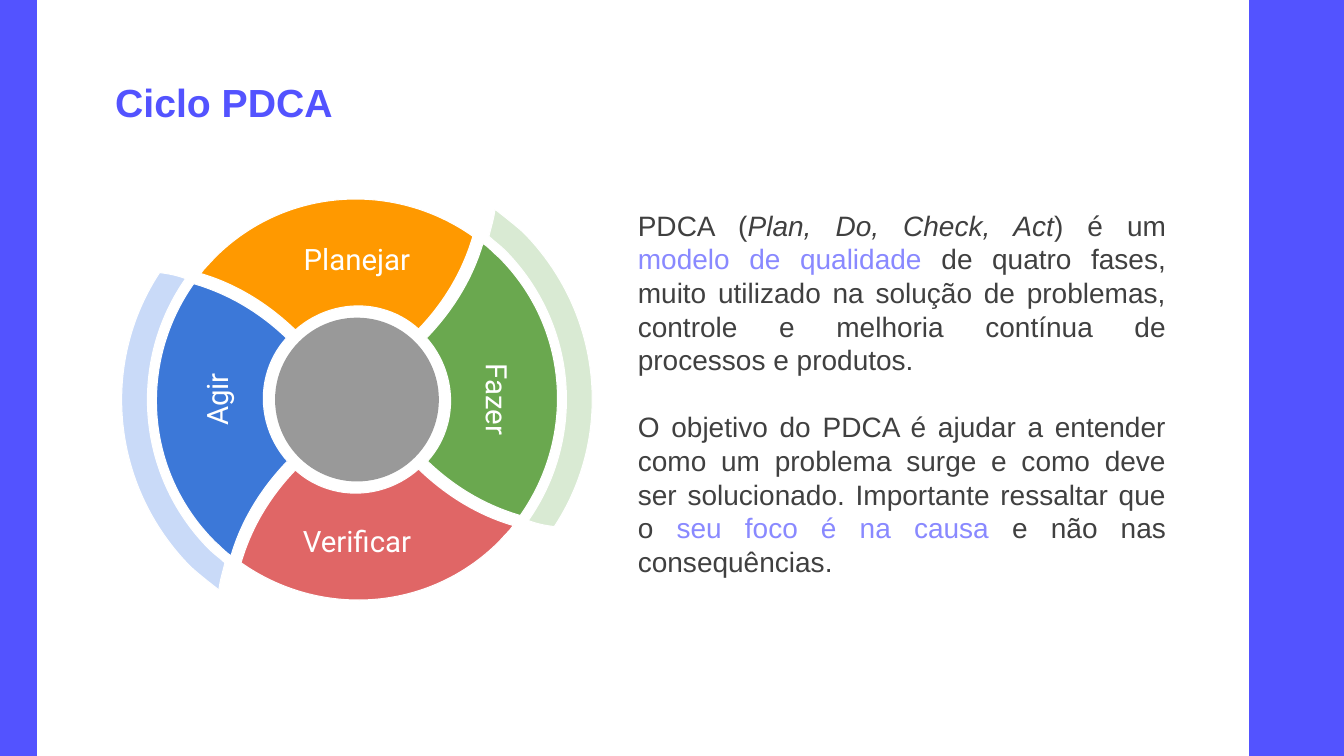
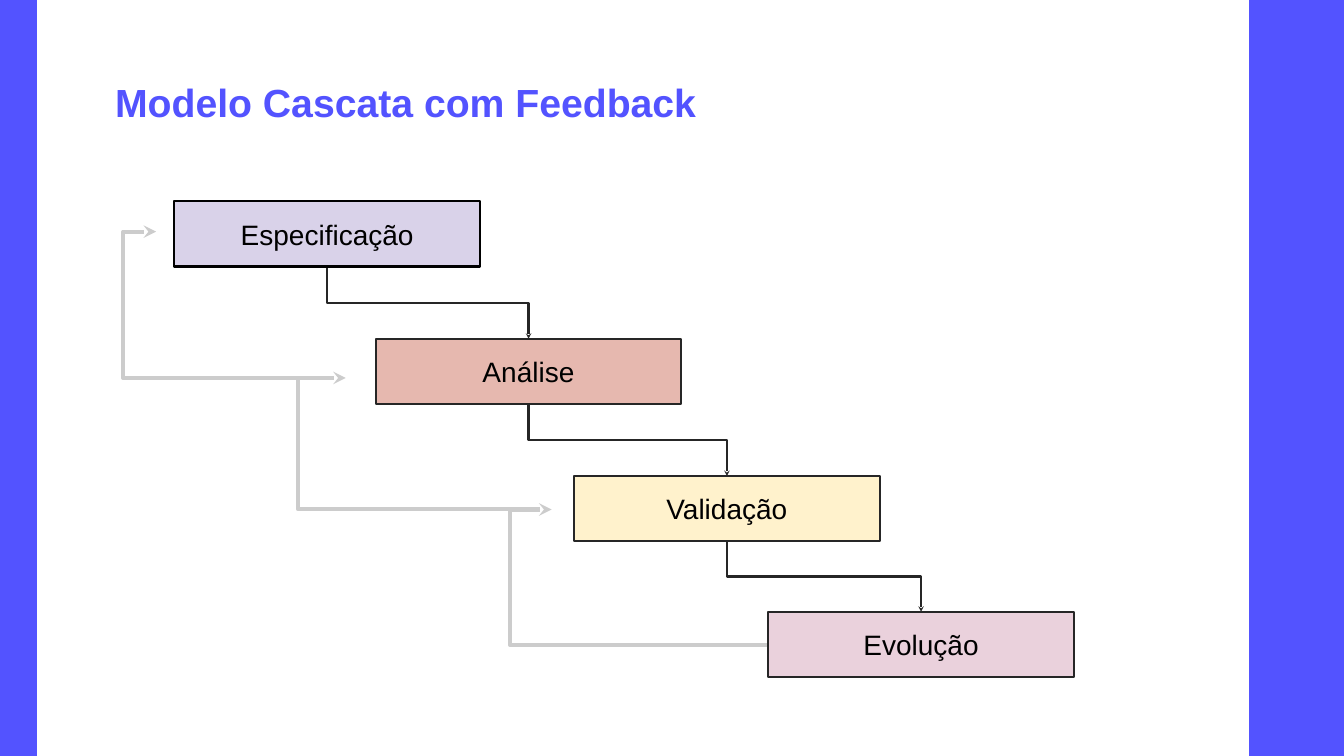
from math import sqrt

from pptx import Presentation
from pptx.dml.color import RGBColor
from pptx.enum.shapes import MSO_CONNECTOR as Link, MSO_SHAPE as Shape
from pptx.enum.text import MSO_ANCHOR as Anchor, PP_ALIGN as Align
from pptx.oxml import parse_xml
from pptx.oxml.ns import nsdecls, qn
from pptx.util import Pt

COLORS = {
    "brand": "5353FF", "accent": "8989FF", "body": "404040",
    "white": "FFFFFF", "black": "000000", "dark": "262626",
    "hub": "999999", "feedback": "CCCCCC",
    "plan": "FF9900", "do": "6AA84F", "check": "E06666", "act": "3C78D8",
    "do_band": "D9EAD3", "act_band": "C9DAF8",
    "specify": "D9D2E9", "analyse": "E6B8AF", "validate": "FFF2CC", "evolve": "EAD1DC",
}


def write(para, text, size=20, color="body", font="Arial", bold=False, italic=False, align=None):
    span = para.add_run()
    span.text = text
    span.font.name = font
    span.font.size = Pt(size)
    span.font.bold = bold
    span.font.italic = italic
    span.font.color.rgb = RGBColor.from_string(COLORS[color])
    if align is not None:
        para.alignment = align


def paint(shape, fill, line=None, weight=1):
    shape.shadow.inherit = False
    shape.fill.solid()
    shape.fill.fore_color.rgb = RGBColor.from_string(COLORS[fill])
    if line:
        shape.line.color.rgb = RGBColor.from_string(COLORS[line])
        shape.line.width = Pt(weight)
    else:
        shape.line.fill.background()


deck = Presentation()
deck.slide_width, deck.slide_height = Pt(960), Pt(540)

# Shared frame: side bands and title
pages = []
for title, title_width in (("Ciclo PDCA", 397), ("Modelo Cascata com Feedback", 528.5)):
    page = deck.slides.add_slide(deck.slide_layouts[6])
    for left, width in ((892.5, 67.5), (-0.5, 26.5)):
        band = page.shapes.add_shape(Shape.RECTANGLE, Pt(left), 0, Pt(width), Pt(540))
        paint(band, "brand", "brand")
    box = page.shapes.add_textbox(Pt(75.2), Pt(56), Pt(title_width), Pt(40.5))
    frame = box.text_frame
    frame.word_wrap = True
    frame.vertical_anchor = Anchor.BOTTOM
    frame.margin_top = frame.margin_bottom = Pt(7.2)
    write(frame.paragraphs[0], title, size=28, color="brand", bold=True)
    pages.append(page)
cycle, cascade = pages

# Cycle: hub
CENTER_X, CENTER_Y = 255, 285.4
HUB = 117
hub = cycle.shapes.add_shape(
    Shape.OVAL, Pt(CENTER_X - HUB / 2), Pt(CENTER_Y - HUB / 2), Pt(HUB), Pt(HUB))
hub.rotation = 315
paint(hub, "hub")

# Cycle: outlines as Bezier points around the centre, turned in quarter turns
PETAL = [
    (-101.5, -101.5), (-104.4, -98), (-108.7, -94.3), (-111.6, -90),
    (-87, -82.8), (-64, -69), (-44, -49.7), (-28, -64), (-5, -70.6), (17.3, -64.8),
    (28, -62), (36.7, -57), (44, -50.4), (62.6, -69.8), (75.6, -92), (82.8, -116.6),
    (26.6, -156.2), (-51, -152), (-101.5, -101.5),
]
OUTER_BAND = [
    (105.8, -106.6), (158.4, -53.3), (163.4, 28), (122.4, 86.4),
    (128, 88.6), (134.6, 90), (141, 90.7), (183.6, 26), (175.7, -62), (118.8, -119.5),
    (112.3, -125.3), (105.8, -130.3), (98.6, -136), (98, -129.6), (95.8, -123), (94.3, -116.6),
    (98, -113), (102.2, -110.2), (105.8, -106.6),
]
parts = [
    (OUTER_BAND, 2, "act_band"), (PETAL, 3, "act"), (PETAL, 2, "check"),
    (OUTER_BAND, 0, "do_band"), (PETAL, 1, "do"), (PETAL, 0, "plan"),
]
for outline, turns, color in parts:
    for turn in range(turns):
        outline = [(-y, x) for x, y in outline]
    # Drawn an eighth turn ahead, since the shape itself is rotated back
    ahead = [((x - y) / sqrt(2), (x + y) / sqrt(2)) for x, y in outline]
    points = [(Pt(x), Pt(y)) for x, y in ahead]
    builder = cycle.shapes.build_freeform(*points[0])
    builder.add_line_segments(points[1:], close=True)
    part = builder.convert_to_shape()
    paint(part, color, "white", 0.75)

    # Every three straight segments become one curve
    lines = list(part.element.iter(qn("a:lnTo")))
    for start in range(0, len(lines), 3):
        curve = parse_xml(f'<a:cubicBezTo {nsdecls("a")}/>')
        lines[start].addprevious(curve)
        for line in lines[start:start + 3]:
            curve.append(line[0])
            line.getparent().remove(line)

    x, y = part.left + part.width / 2, part.top + part.height / 2
    part.left = round(Pt(CENTER_X) + (x + y) / sqrt(2) - part.width / 2)
    part.top = round(Pt(CENTER_Y) + (y - x) / sqrt(2) - part.height / 2)
    part.rotation = 315

# Cycle: phase labels
LABEL_WIDTH, LABEL_HEIGHT = 132.5, 49.7
phases = [
    ("Agir", -100.5, 0, 270), ("Verificar", 0, 100.8, 0),
    ("Fazer", 100.5, 0, 90), ("Planejar", 0, -100.8, 0),
]
for name, shift_x, shift_y, angle in phases:
    label = cycle.shapes.add_textbox(
        Pt(CENTER_X + shift_x - LABEL_WIDTH / 2), Pt(CENTER_Y + shift_y - LABEL_HEIGHT / 2),
        Pt(LABEL_WIDTH), Pt(LABEL_HEIGHT))
    label.rotation = angle
    label.text_frame.word_wrap = True
    label.text_frame.vertical_anchor = Anchor.MIDDLE
    write(label.text_frame.paragraphs[0], name, size=21, color="white", font="Roboto", align=Align.CENTER)

# Cycle: explanation
explanation = [
    [("PDCA (", {}), ("Plan, Do, Check, Act", {"italic": True}), (") é um ", {}),
     ("modelo de qualidade ", {"color": "accent"}),
     ("de quatro fases, muito utilizado na solução de problemas, controle e melhoria "
      "contínua de processos e produtos. ", {})],
    [("O objetivo do PDCA é ajudar a entender como um problema surge e como deve ser "
      "solucionado. Importante ressaltar que o ", {}),
     ("seu foco é na causa ", {"color": "accent"}),
     ("e não nas consequências.", {})],
]
box = cycle.shapes.add_textbox(Pt(448.5), Pt(145.2), Pt(391.5), Pt(273.5))
frame = box.text_frame
frame.word_wrap = True
for index, spans in enumerate(explanation):
    para = frame.add_paragraph() if index else frame.paragraphs[0]
    para.line_spacing = Pt(24)
    para.space_before = Pt(24 * index)
    for text, style in spans:
        write(para, text, align=Align.JUSTIFY, **style)

# Cascade: arrows as (begin, end, colour, weight, quarter-turned, bend position, head size)
STAGE_WIDTH, STAGE_HEIGHT = 218.4, 46.7
stages = [
    ("Especificação", 124.5, 143.7, "specify", "black"),
    ("Análise", 268.3, 242, "analyse", "dark"),
    ("Validação", 410, 340, "validate", "dark"),
    ("Evolução", 548.7, 437, "evolve", "dark"),
]
arrows = []
for (_, left, top, _, _), (_, next_left, next_top, _, _) in zip(stages, stages[1:]):
    run = next_left - left
    drop = next_top - top - STAGE_HEIGHT
    middle_x = left + STAGE_WIDTH / 2 + run / 2
    middle_y = next_top - drop / 2
    # The frame lies on its side, so run and drop swap
    begin = (middle_x + drop / 2, middle_y - run / 2)
    end = (middle_x - drop / 2, middle_y + run / 2)
    arrows.append((begin, end, "dark", 1.5, True, 0.5, "sm"))
feedback = [
    ((226, 270), (111.5, 165.5), 88),
    ((380, 363.8), (247, 270), 213),
    ((548.7, 461), (394, 364), 364.5),
]
for begin, end, bend_x in feedback:
    bend = (begin[0] - bend_x) / (begin[0] - end[0])
    arrows.append((begin, end, "feedback", 3, False, bend, "med"))

for begin, end, color, weight, turned, bend, head in arrows:
    arrow = cascade.shapes.add_connector(Link.ELBOW, *(Pt(value) for value in begin + end))
    arrow.line.color.rgb = RGBColor.from_string(COLORS[color])
    arrow.line.width = Pt(weight)
    props = arrow.element.spPr
    if turned:
        props.find(qn("a:xfrm")).set("rot", str(270 * 60000))
    geometry = props.find(qn("a:prstGeom"))
    for old in list(geometry):
        geometry.remove(old)
    geometry.append(parse_xml(
        f'<a:avLst {nsdecls("a")}><a:gd name="adj1" fmla="val {round(bend * 100000)}"/></a:avLst>'))
    props.find(qn("a:ln")).append(parse_xml(
        f'<a:tailEnd {nsdecls("a")} type="stealth" w="{head}" len="{head}"/>'))
    props.append(parse_xml(f'<a:effectLst {nsdecls("a")}/>'))

# Cascade: stages
for name, left, top, fill, line in stages:
    stage = cascade.shapes.add_shape(
        Shape.RECTANGLE, Pt(left), Pt(top), Pt(STAGE_WIDTH), Pt(STAGE_HEIGHT))
    paint(stage, fill, line, 1.5)
    stage.text_frame.vertical_anchor = Anchor.MIDDLE
    write(stage.text_frame.paragraphs[0], name, color="black", align=Align.CENTER)

deck.save("out.pptx")
